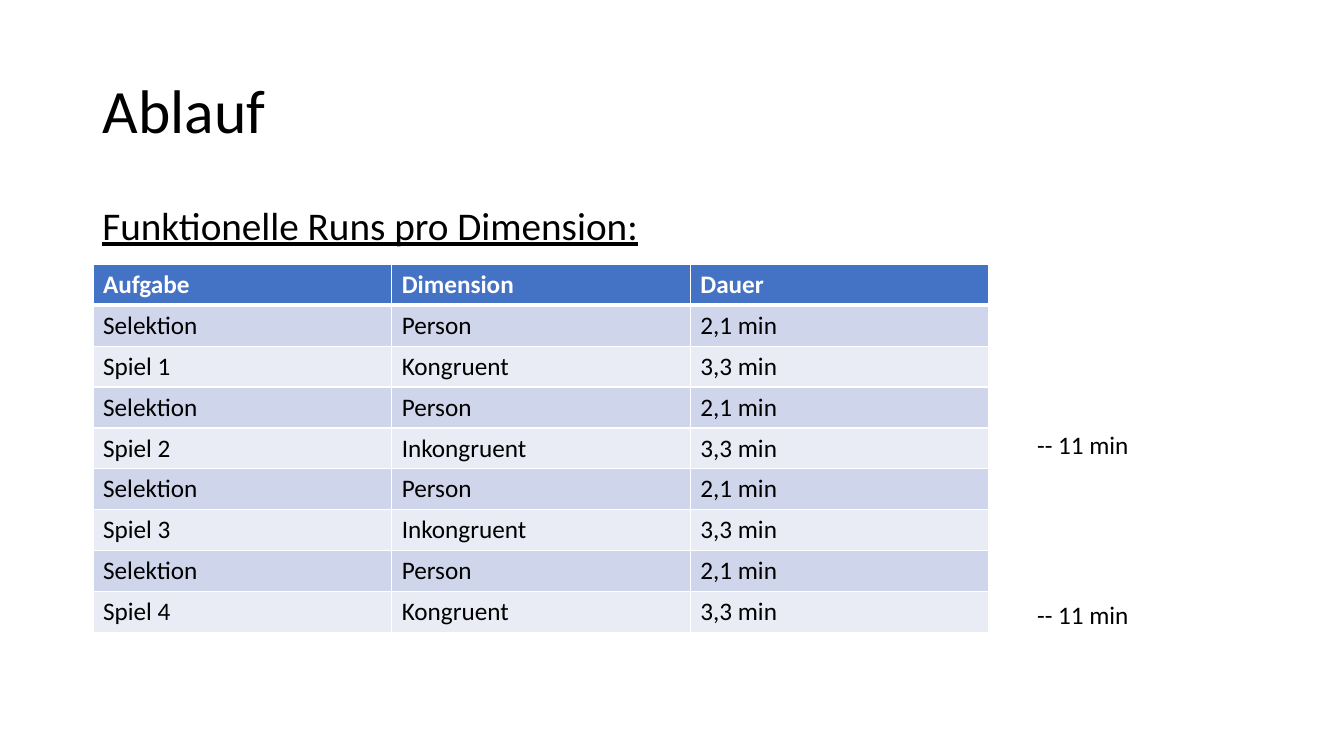
"""Build the "Ablauf" slide with the run schedule table."""
from pptx import Presentation
from pptx.dml.color import RGBColor
from pptx.enum.text import MSO_ANCHOR, PP_ALIGN
from pptx.oxml import parse_xml
from pptx.oxml.ns import nsdecls
from pptx.util import Pt


def format_text(tf, size, color="000000", bold=False, underline=False, spacing=1.0):
    """Format every run of a text frame."""
    tf.word_wrap = True
    for p in tf.paragraphs:
        p.alignment = PP_ALIGN.LEFT
        p.line_spacing = spacing
        for r in p.runs:
            r.font.name = "Calibri"
            r.font.size = Pt(size)
            r.font.bold = bold
            r.font.underline = underline
            r.font.color.rgb = RGBColor.from_string(color)


def add_border(cell, side, width):
    """Add a white border to one side of a table cell."""
    cell._tc.get_or_add_tcPr().append(parse_xml(
        f'<a:ln{side} {nsdecls("a")} w="{Pt(width)}"><a:solidFill>'
        f'<a:srgbClr val="FFFFFF"/></a:solidFill></a:ln{side}>'))


prs = Presentation()
prs.slide_width, prs.slide_height = Pt(960), Pt(540)
s = prs.slides.add_slide(prs.slide_layouts[5])

title = s.shapes.title
title.left, title.top, title.width, title.height = Pt(66), Pt(28.75), Pt(828), Pt(104.4)
title.text_frame.text = "Ablauf"
title.text_frame.vertical_anchor = MSO_ANCHOR.MIDDLE
format_text(title.text_frame, 44, spacing=0.9)

heading = s.shapes.add_textbox(Pt(66), Pt(143.75), Pt(828), Pt(40))
heading.text_frame.text = "Funktionelle Runs pro Dimension:"
format_text(heading.text_frame, 28, underline=True, spacing=0.9)

rows = [("Aufgabe", "Dimension", "Dauer")]
for number, game in enumerate(["Kongruent", "Inkongruent", "Inkongruent", "Kongruent"], 1):
    rows += [("Selektion", "Person", "2,1 min"), (f"Spiel {number}", game, "3,3 min")]

table = s.shapes.add_table(len(rows), 3, Pt(66.5), Pt(188.9), Pt(640), Pt(262.8)).table
for col in table.columns:
    col.width = Pt(213.33)
for i, row in enumerate(rows):
    table.rows[i].height = Pt(29.2)
    header = i == 0
    fill = "4472C4" if header else "CFD5EA" if i % 2 else "E9EBF5"
    for j, text in enumerate(row):
        cell = table.cell(i, j)
        cell.text_frame.text = text
        format_text(cell.text_frame, 18, "FFFFFF" if header else "000000", bold=header)
        for side in "LRTB":
            thick = (side == "B" and header) or (side == "T" and i == 1)
            add_border(cell, side, 3 if thick else 1)
        cell.fill.solid()
        cell.fill.fore_color.rgb = RGBColor.from_string(fill)

for top in (303.1, 424.4):
    total = s.shapes.add_textbox(Pt(733.7), Pt(top), Pt(168.5), Pt(29.1))
    total.text_frame.text = "-- 11 min"
    format_text(total.text_frame, 18)

prs.save("out.pptx")
